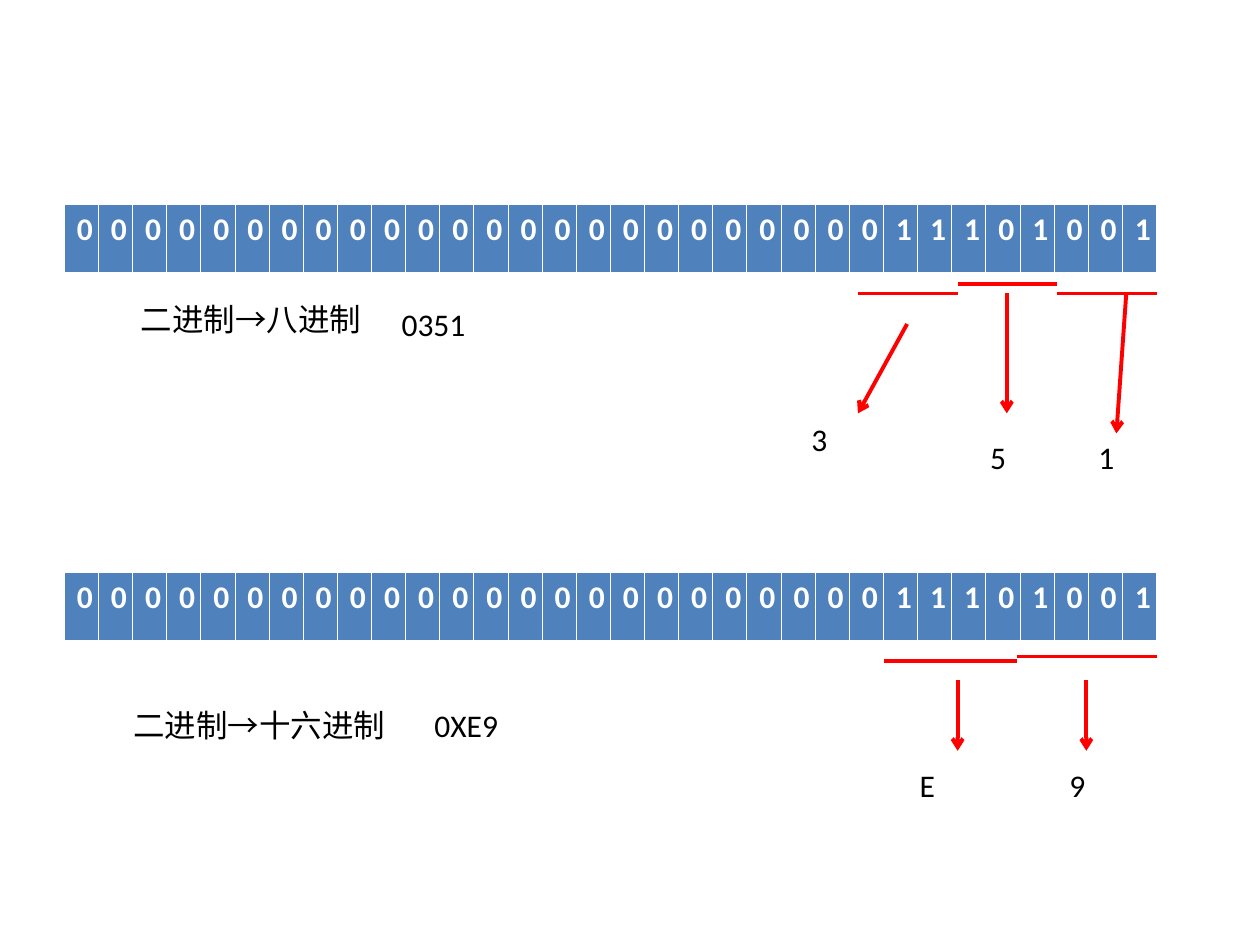
from lxml.etree import SubElement
from pptx import Presentation
from pptx.dml.color import RGBColor
from pptx.enum.shapes import MSO_CONNECTOR
from pptx.enum.text import MSO_AUTO_SIZE
from pptx.oxml import parse_xml
from pptx.oxml.ns import nsdecls, qn
from pptx.util import Inches, Pt

BLUE = RGBColor(0x4F, 0x81, 0xBD)
RED = RGBColor(0xFF, 0x00, 0x00)
BLACK = RGBColor(0x00, 0x00, 0x00)
WHITE = RGBColor(0xFF, 0xFF, 0xFF)

BITS = f"{0xE9:032b}"
LEFT, WIDTH, ROW = 0.51, 8.67, 0.55
COLUMN = WIDTH / len(BITS)
TEXT_ROWS = 0.73
BODY = {"size": Pt(18), "name": "Calibri", "bold": False}
BIT = {**BODY, "bold": True}
BORDERS = {"lnL": 0.45, "lnR": 0.45, "lnT": 0.45, "lnB": 1.47}

OCTAL = {
    "label": ("二进制", "→八进制", 1.88, 1.29, 12.77),
    "value": ("0351", 9.52, 1.36, 4.95),
    "groups": [
        {"bar": (29.08, 32, 1.29), "arrow": (31.11, 1.29, 30.82, 3.31),
         "digit": ("1", 29.93, 3.29, 2.33)},
        {"bar": (26.17, 29.08, 1.15), "arrow": (27.61, 1.29, 27.61, 3.02),
         "digit": ("5", 26.76, 3.29, 2.33)},
        {"bar": (23.25, 26.17, 1.29), "arrow": (24.69, 1.73, 23.25, 3.02),
         "digit": ("3", 21.52, 3.02, 3.77)},
    ],
}
HEX = {
    "label": ("二进制", "→十六进制", 1.66, 1.84, 12.8),
    "value": ("0XE9", 10.48, 1.84, 5.65),
    "groups": [
        {"bar": (27.9, 32, 1.22), "arrow": (29.94, 1.56, 29.94, 2.58),
         "digit": ("9", 29.08, 2.71, 2.92)},
        {"bar": (24, 27.9, 1.29), "arrow": (26.17, 1.56, 26.17, 2.58),
         "digit": ("E", 24.69, 2.71, 2.92)},
    ],
}


def across(column):
    return Inches(LEFT + column * COLUMN)


def down(top, row):
    return Inches(top + row * ROW)


def write(paragraph, words, color, formats):
    run = paragraph.add_run()
    run.text = words
    for attribute, value in formats.items():
        setattr(run.font, attribute, value)
    run.font.color.rgb = color


def add_words(slide, top, parts, column, row, columns):
    box = slide.shapes.add_textbox(across(column), down(top, row),
                                   Inches(columns * COLUMN), Inches(TEXT_ROWS * ROW))
    box.text_frame.word_wrap = True
    box.text_frame.auto_size = MSO_AUTO_SIZE.SHAPE_TO_FIT_TEXT
    for words, font in zip(parts, ("Calibri", "Arial")):
        write(box.text_frame.paragraphs[0], words, BLACK, {**BODY, "name": font})


def add_stroke(slide, top, start_column, start_row, end_column, end_row, arrow=False):
    stroke = slide.shapes.add_connector(
        MSO_CONNECTOR.STRAIGHT, across(start_column), down(top, start_row),
        across(end_column), down(top, end_row))
    stroke.line.color.rgb = RED
    stroke.line.width = Pt(2.25)
    if arrow:
        SubElement(stroke.line._get_or_add_ln(), qn("a:tailEnd"), type="arrow")
    SubElement(stroke._element.spPr, qn("a:effectLst"))


def add_bits(slide, top):
    table = slide.shapes.add_table(1, len(BITS), across(0), down(top, 0),
                                   Inches(WIDTH), Inches(ROW)).table
    for index, bit in enumerate(BITS):
        table.columns[index].width = Inches(COLUMN)
        cell = table.cell(0, index)
        cell.fill.solid()
        cell.fill.fore_color.rgb = BLUE
        write(cell.text_frame.paragraphs[0], bit, WHITE, BIT)
        properties = cell._tc.get_or_add_tcPr()
        for position, (side, width) in enumerate(BORDERS.items()):
            properties.insert(position, parse_xml(
                f'<a:{side} {nsdecls("a")} w="{Pt(width)}"><a:solidFill>'
                f'<a:srgbClr val="{WHITE}"/></a:solidFill></a:{side}>'))


def add_conversion(slide, top, conversion):
    add_bits(slide, top)
    for group in conversion["groups"]:
        start, end, row = group["bar"]
        add_stroke(slide, top, start, row, end, row)
        add_stroke(slide, top, *group["arrow"], arrow=True)
        digit, *place = group["digit"]
        add_words(slide, top, [digit], *place)
    value, *place = conversion["value"]
    add_words(slide, top, [value], *place)
    source, target, *place = conversion["label"]
    add_words(slide, top, [source, target], *place)


def main():
    presentation = Presentation()
    presentation.slide_width = Inches(10)
    presentation.slide_height = Inches(7.5)
    slide = presentation.slides.add_slide(presentation.slide_layouts[6])
    add_conversion(slide, 1.62, OCTAL)
    add_conversion(slide, 4.54, HEX)
    presentation.save("out.pptx")


if __name__ == "__main__":
    main()
